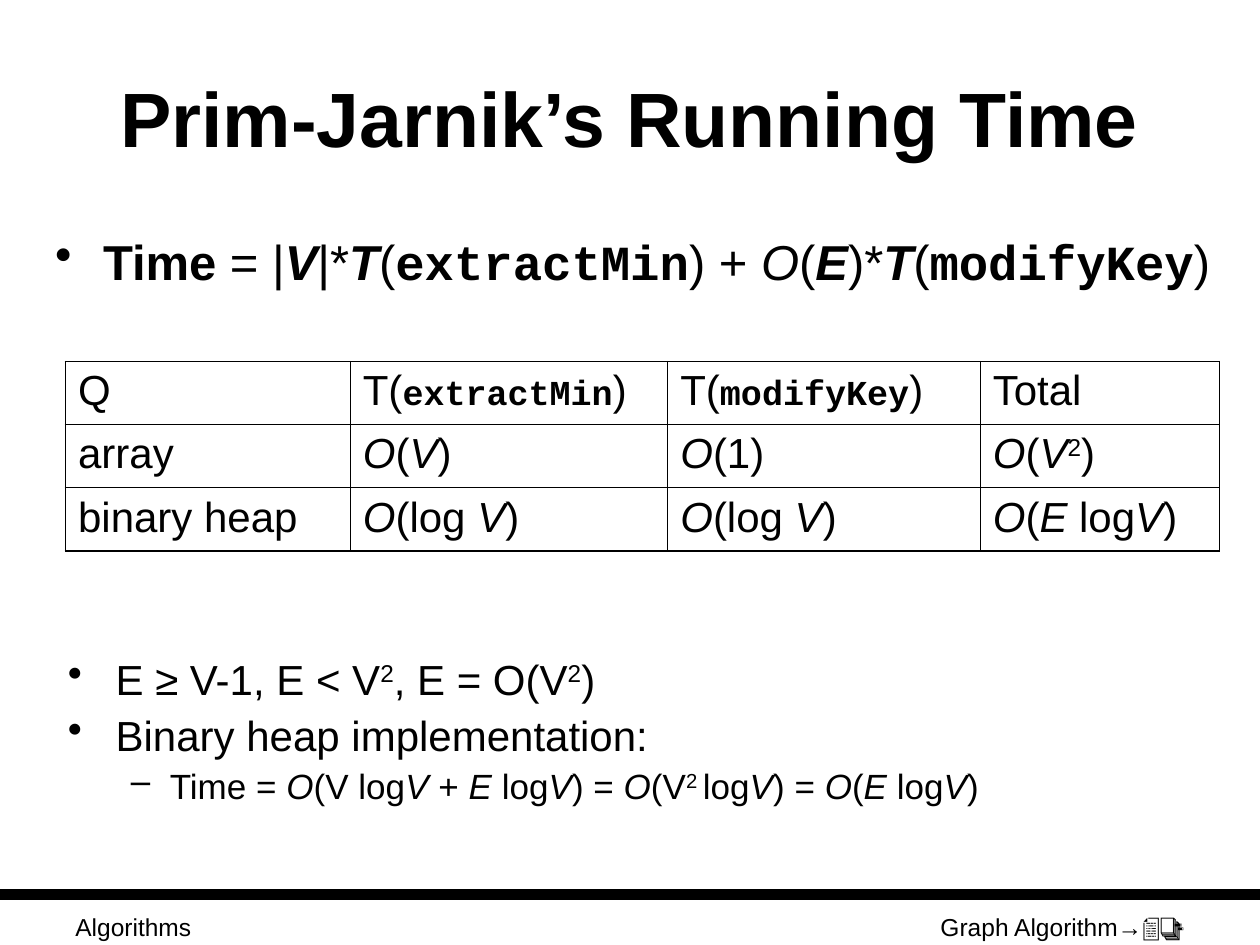
from lxml.etree import SubElement
from pptx import Presentation
from pptx.dml.color import RGBColor
from pptx.enum.shapes import MSO_CONNECTOR as Connector
from pptx.enum.text import MSO_ANCHOR as Anchor, PP_ALIGN as Align
from pptx.oxml.ns import qn
from pptx.util import Inches, Pt

COLORS = {"ink": "000000"}
FONT, CODE_FONT = "Arial", "Courier New"

FORMULA = [
    ("Time", "b"), (" = |", ""), ("V", "bi"), ("|*", ""), ("T", "bi"), ("(", ""),
    ("extractMin", "bc"), (") + ", ""), ("O", "i"), ("(", ""), ("E", "bi"),
    (")*", ""), ("T", "bi"), ("(", ""), ("modifyKey", "bc"), (")", ""),
]
COLUMN_WIDTHS = [2.26, 2.52, 2.48, 1.9]
ROW_HEIGHT = 0.5
LOG_V = [("O", "i"), ("(log ", ""), ("V", "i"), (")", "")]
COSTS = [
    ["Q",
     [("T(", ""), ("extractMin", "bc", 20), (")", "")],
     [("T(", ""), ("modifyKey", "bc", 20), (")", "")],
     "Total"],
    ["array",
     [("O", "i"), ("(", ""), ("V", "i"), (")", "")],
     [("O", "i"), ("(1)", "")],
     [("O", "i"), ("(", ""), ("V", "i"), ("2", "s"), (")", "")]],
    ["binary heap", LOG_V, LOG_V,
     [("O", "i"), ("(", ""), ("E", "i"), (" log", ""), ("V", "i"), (")", "")]],
]
EDGE_BOUNDS = [("E ≥ V-1, E < V", ""), ("2", "s"), (", E = O(V", ""), ("2", "s"), (")", "")]
HEAP_TIME = [
    ("Time = ", ""), ("O", "i"), ("(V log", ""), ("V ", "i"), ("+ ", ""), ("E ", "i"),
    ("log", ""), ("V", "i"), (") = ", ""), ("O", "i"), ("(V", ""), ("2 ", "s"),
    ("log", ""), ("V", "i"), (") = ", ""), ("O", "i"), ("(", ""), ("E ", "i"),
    ("log", ""), ("V", "i"), (")", ""),
]


def color(name):
    return RGBColor.from_string(COLORS[name])


def add_bullet(paragraph, character, margin, indent):
    properties = paragraph._p.get_or_add_pPr()
    properties.set("marL", str(Inches(margin)))
    properties.set("indent", str(Inches(indent)))
    bullet_color = SubElement(properties, qn("a:buClr"))
    SubElement(bullet_color, qn("a:srgbClr"), val=COLORS["ink"])
    SubElement(properties, qn("a:buChar"), char=character)


def write_text(paragraph, text, size=24, align=Align.LEFT, bold=False,
               bullet=None, level=0, before=0, spacing=None):
    paragraph.alignment = align
    paragraph.level = level
    paragraph.space_before = Pt(before)
    if spacing:
        paragraph.line_spacing = spacing
    if bullet:
        add_bullet(paragraph, *bullet)
    for content, style, *own_size in [(text, "")] if isinstance(text, str) else text:
        run = paragraph.add_run()
        run.text = content
        font = run.font
        font.name = CODE_FONT if "c" in style else FONT
        font.size = Pt(own_size[0] if own_size else size)
        font.bold = bold or "b" in style
        font.italic = "i" in style
        font.color.rgb = color("ink")
        if "s" in style:
            run._r.get_or_add_rPr().set("baseline", "30000")


def add_text_box(slide, left, top, width, height, anchor=Anchor.TOP):
    box = slide.shapes.add_textbox(Inches(left), Inches(top), Inches(width), Inches(height))
    frame = box.text_frame
    frame.word_wrap = True
    frame.vertical_anchor = anchor
    return frame


def set_border(cell, side, width):
    line = SubElement(cell._tc.get_or_add_tcPr(), qn(f"a:ln{side}"), w=str(Pt(width)))
    fill = SubElement(line, qn("a:solidFill"))
    SubElement(fill, qn("a:srgbClr"), val=COLORS["ink"])


def add_cost_table(slide, left, top):
    rows, columns = len(COSTS), len(COLUMN_WIDTHS)
    table = slide.shapes.add_table(
        rows, columns, Inches(left), Inches(top),
        Inches(sum(COLUMN_WIDTHS)), Inches(rows * ROW_HEIGHT)).table
    table.first_row = table.horz_banding = False
    for column, width in zip(table.columns, COLUMN_WIDTHS):
        column.width = Inches(width)
    for row_index, texts in enumerate(COSTS):
        table.rows[row_index].height = Inches(ROW_HEIGHT)
        for column_index, text in enumerate(texts):
            cell = table.cell(row_index, column_index)
            outer = {"L": column_index == 0, "R": column_index == columns - 1,
                     "T": row_index == 0, "B": row_index == rows - 1}
            for side, is_outer in outer.items():
                set_border(cell, side, 1.08 if is_outer else 0.45)
            cell.fill.background()
            write_text(cell.text_frame.paragraphs[0], text)


def add_rule(slide, top, width):
    rule = slide.shapes.add_connector(
        Connector.STRAIGHT, Inches(0), Inches(top), Inches(10), Inches(top))
    rule.line.color.rgb = color("ink")
    rule.line.width = Pt(width)
    SubElement(rule._element.spPr, qn("a:effectLst"))


def add_footer(slide, text, left, align):
    frame = add_text_box(slide, left, 7.19, 2.33, 0.52)
    write_text(frame.paragraphs[0], text, size=14, align=align)


def main():
    presentation = Presentation()
    presentation.slide_width = Inches(10)
    presentation.slide_height = Inches(7.5)
    slide = presentation.slides.add_slide(presentation.slide_layouts[6])

    add_rule(slide, 7.1, 6)
    add_footer(slide, "Algorithms", 0.5, Align.LEFT)
    add_footer(slide, "Graph Algorithm→📄📑", 7.17, Align.RIGHT)

    title = add_text_box(slide, 0.5, 0.3, 9, 1.25, Anchor.MIDDLE)
    write_text(title.paragraphs[0], "Prim-Jarnik’s Running Time",
               size=44, align=Align.CENTER, bold=True)

    main_bullet = ("•", 0.38, -0.38)
    formula = add_text_box(slide, 0.34, 1.79, 9.54, 0.58)
    write_text(formula.paragraphs[0], FORMULA, size=28, bullet=main_bullet)

    add_cost_table(slide, 0.52, 2.87)

    notes = add_text_box(slide, 0.44, 5.18, 9.14, 1.31)
    write_text(notes.paragraphs[0], EDGE_BOUNDS, bullet=main_bullet, spacing=0.9)
    write_text(notes.add_paragraph(), "Binary heap implementation:",
               bullet=main_bullet, before=6, spacing=0.9)
    write_text(notes.add_paragraph(), HEAP_TIME, size=20, level=1,
               bullet=("–", 0.81, -0.31), before=5, spacing=0.9)

    presentation.save("out.pptx")


if __name__ == "__main__":
    main()
